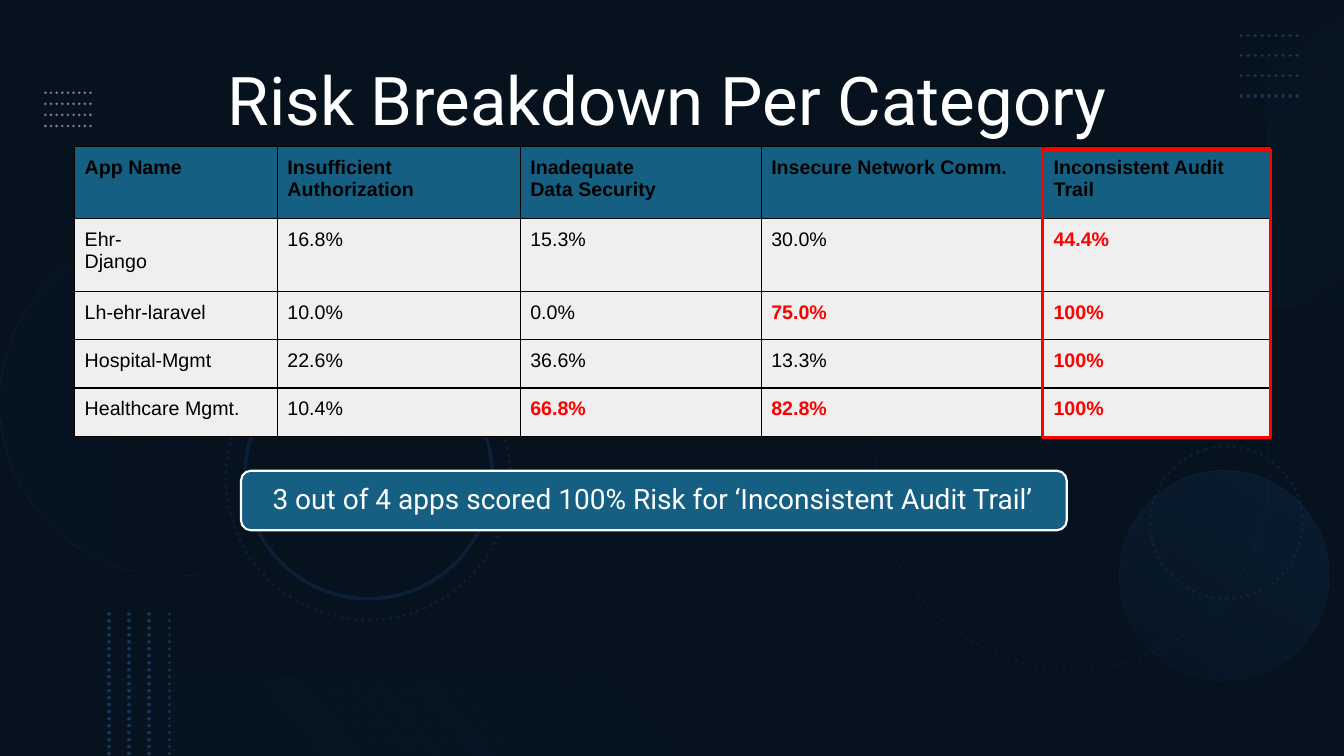
import pptx
import pptx.dml.color
import pptx.enum.dml
import pptx.enum.shapes
import pptx.enum.text
import pptx.oxml
import pptx.oxml.ns
import pptx.util
from lxml import etree

Inches = pptx.util.Inches
Pt = pptx.util.Pt
SHAPES = pptx.enum.shapes.MSO_SHAPE

COLORS = {
    "navy": "0E2841", "black": "000000", "white": "FFFFFF", "red": "FF0000",
    "teal": "156082", "cell": "EFEFEF", "ring": "0A2038", "faint_ring": "081A2B",
    "dots": "16355A", "pale": "F1F1F1", "glow": "0B1E31", "dark": "071420",
    "sky": "71AAE0", "blue": "2D7FCF",
}
TITLE_FORMAT = {"name": "Roboto", "size": Pt(48)}
CALLOUT_FORMAT = {"name": "Roboto", "size": Pt(20)}
HEADER_FORMAT = {"name": "Arial", "size": Pt(14), "bold": True}
VALUE_FORMAT = {"name": "Arial", "size": Pt(14), "bold": False}
ALERT_FORMAT = {"name": "Arial", "size": Pt(14), "bold": True}
ALERT_LEVEL = 40

COLUMN_WIDTHS = [2.01, 2.41, 2.39, 2.8, 2.26]
ROW_HEIGHTS = [0.72, 0.72, 0.48, 0.48, 0.48]
RISK_ROWS = [
    ["App Name", "Insufficient Authorization", "Inadequate\nData Security",
     "Insecure Network Comm.", "Inconsistent Audit Trail"],
    ["Ehr-\nDjango", "16.8%", "15.3%", "30.0%", "44.4%"],
    ["Lh-ehr-laravel", "10.0%", "0.0%", "75.0%", "100%"],
    ["Hospital-Mgmt", "22.6%", "36.6%", "13.3%", "100%"],
    ["Healthcare Mgmt.", "10.4%", "66.8%", "82.8%", "100%"],
]


def rgb(name):
    return pptx.dml.color.RGBColor.from_string(COLORS[name])


def add_child(parent, tag, **attributes):
    return etree.SubElement(parent, pptx.oxml.ns.qn(tag), **attributes)


def set_alpha(color_element, percent):
    add_child(color_element, "a:alpha", val=str(percent * 1000))


def style_line(line, color, width, dotted=False, alpha=None):
    line.color.rgb = rgb(color)
    line.width = Pt(width)
    if dotted:
        line.dash_style = pptx.enum.dml.MSO_LINE.ROUND_DOT
        line._get_or_add_ln().set("cap", "rnd")
    if alpha is not None:
        set_alpha(line._get_or_add_ln().find(".//" + pptx.oxml.ns.qn("a:srgbClr")), alpha)


def add_figure(slide, kind, box, fill=None, alpha=None, rotation=0):
    shape = slide.shapes.add_shape(kind, *map(Inches, box))
    shape.shadow.inherit = False
    shape.rotation = rotation
    shape.line.fill.background()
    if fill is None:
        shape.fill.background()
    else:
        shape.fill.solid()
        shape.fill.fore_color.rgb = rgb(fill)
        if alpha is not None:
            set_alpha(shape.fill._xPr.find(".//" + pptx.oxml.ns.qn("a:srgbClr")), alpha)
    return shape


def add_gradient(slide, kind, box, rotation, angle, stops):
    shape = add_figure(slide, kind, box, rotation=rotation)
    shape.fill.gradient()
    shape.fill.gradient_angle = 360 - angle
    for stop, (position, color, alpha) in zip(shape.fill.gradient_stops, stops):
        stop.position = position
        stop.color.rgb = rgb(color)
        set_alpha(stop._gs.find(pptx.oxml.ns.qn("a:srgbClr")), alpha)


def add_dotted_lines(slide, box, count, vertical, color, width, alpha=None):
    left, top, length, gap = box
    for index in range(count):
        x = left + index * gap * vertical
        y = top + index * gap * (not vertical)
        end_x = x + length * (not vertical)
        end_y = y + length * vertical
        connector = slide.shapes.add_connector(
            pptx.enum.shapes.MSO_CONNECTOR.STRAIGHT, *map(Inches, (x, y, end_x, end_y)))
        style_line(connector.line, color, width, True, alpha)
        add_child(connector._element.spPr, "a:effectLst")


def add_ring(slide, box, color, dotted):
    ring = add_figure(slide, SHAPES.OVAL, box, rotation=75)
    style_line(ring.line, color, 2.5, dotted)


def add_backdrop(slide, width, height):
    page = (0, 0, width, height)
    ball = (11.1, 4.67, 2.08, 2.08)
    add_figure(slide, SHAPES.RECTANGLE, page, "navy")
    add_figure(slide, SHAPES.RECTANGLE, page, "black", 53)
    add_ring(slide, (8.69, 2.74, 3.9, 3.9), "faint_ring", True)
    add_ring(slide, (11.41, 4.43, 1.51, 1.51), "ring", True)
    add_gradient(slide, SHAPES.OVAL, (0, 2.27, 3.44, 3.44), 270, 90,
                 [(0, "glow", 20), (1, "dark", 10)])
    add_gradient(slide, SHAPES.OVAL, ball, 210, 90, [(0, "glow", 10), (1, "glow", 20)])
    add_ring(slide, (2.24, 3.33, 2.82, 2.82), "ring", True)
    add_ring(slide, (2.43, 3.49, 2.45, 2.45), "ring", False)
    add_gradient(slide, SHAPES.RECTANGLE, (11.42, 1.14, 3.06, 0.78), 270, 140,
                 [(0, "sky", 0), (1, "glow", 10)])
    add_dotted_lines(slide, (12.31, 0.35, 0.6, 0.2), 4, False, "dots", 2.5)
    add_gradient(slide, SHAPES.RECTANGLE, (0, height - 0.78, width / 2, 0.78), 180, 140,
                 [(0.1, "dark", 10), (1, "blue", 0)])
    add_dotted_lines(slide, (1.08, 6.09, 1.41, 0.2), 4, True, "dots", 2.5)
    add_dotted_lines(slide, (0.45, 0.92, 0.47, 0.11), 4, False, "pale", 2, 50)
    add_gradient(slide, SHAPES.OVAL, ball, 210, 90, [(0, "glow", 10), (1, "blue", 10)])


def format_text(frame, values, color):
    for paragraph in frame.paragraphs:
        for run in paragraph.runs:
            for name, value in values.items():
                setattr(run.font, name, value)
            run.font.color.rgb = rgb(color)


def add_centered_text(slide, box, text, values):
    frame = slide.shapes.add_textbox(*map(Inches, box)).text_frame
    frame.word_wrap = True
    frame.vertical_anchor = pptx.enum.text.MSO_ANCHOR.MIDDLE
    frame.text = text
    paragraph = frame.paragraphs[0]
    paragraph.alignment = pptx.enum.text.PP_ALIGN.CENTER
    paragraph.line_spacing = 0.9
    format_text(frame, values, "white")


def add_borders(cell):
    properties = cell._tc.get_or_add_tcPr()
    for side in ("a:lnL", "a:lnR", "a:lnT", "a:lnB"):
        border = add_child(properties, side, w=str(Pt(1)))
        add_child(add_child(border, "a:solidFill"), "a:srgbClr", val=COLORS["black"])


def fill_cell(cell, text, header):
    for side in ("left", "right", "top", "bottom"):
        setattr(cell, "margin_" + side, Inches(0.1))
    add_borders(cell)
    cell.fill.solid()
    cell.fill.fore_color.rgb = rgb("teal" if header else "cell")
    cell.text = text
    alert = text.endswith("%") and float(text.rstrip("%")) > ALERT_LEVEL
    values = HEADER_FORMAT if header else ALERT_FORMAT if alert else VALUE_FORMAT
    format_text(cell.text_frame, values, "red" if alert else "black")


def add_risk_table(slide, left, top):
    width, height = sum(COLUMN_WIDTHS), sum(ROW_HEIGHTS)
    table = slide.shapes.add_table(len(RISK_ROWS), len(COLUMN_WIDTHS),
                                   *map(Inches, (left, top, width, height))).table
    table.first_row = table.horz_banding = False
    for column, column_width in zip(table.columns, COLUMN_WIDTHS):
        column.width = Inches(column_width)
    for row_index, row_height in enumerate(ROW_HEIGHTS):
        table.rows[row_index].height = Inches(row_height)
        for column_index, text in enumerate(RISK_ROWS[row_index]):
            fill_cell(table.cell(row_index, column_index), text, row_index == 0)


def add_audit_highlight(slide, left, top):
    audit_width = COLUMN_WIDTHS[-1]
    audit_left = left + sum(COLUMN_WIDTHS) - audit_width
    box = (audit_left - 0.01, top + 0.03, audit_width, sum(ROW_HEIGHTS) - 0.02)
    highlight = add_figure(slide, SHAPES.RECTANGLE, box)
    style_line(highlight.line, "red", 2.25)


def add_callout(slide, left, top, width, height, text):
    panel = add_figure(slide, SHAPES.ROUNDED_RECTANGLE, (left, top, width, height), "teal")
    style_line(panel.line, "white", 1.5)
    add_centered_text(slide, (left + 0.02, top + 0.03, width - 0.06, height - 0.06),
                      text, CALLOUT_FORMAT)


def main():
    presentation = pptx.Presentation()
    presentation.slide_width = Inches(13.33)
    presentation.slide_height = Inches(7.5)
    slide = presentation.slides.add_slide(presentation.slide_layouts[6])
    add_backdrop(slide, 13.33, 7.5)
    add_risk_table(slide, 0.74, 1.45)
    add_centered_text(slide, (0.87, 0.3, 11.5, 1.45), "Risk Breakdown Per Category", TITLE_FORMAT)
    add_audit_highlight(slide, 0.74, 1.45)
    add_callout(slide, 2.39, 4.67, 8.19, 0.59,
                "3 out of 4 apps scored 100% Risk for ‘Inconsistent Audit Trail’")
    presentation.save("out.pptx")


if __name__ == "__main__":
    main()
